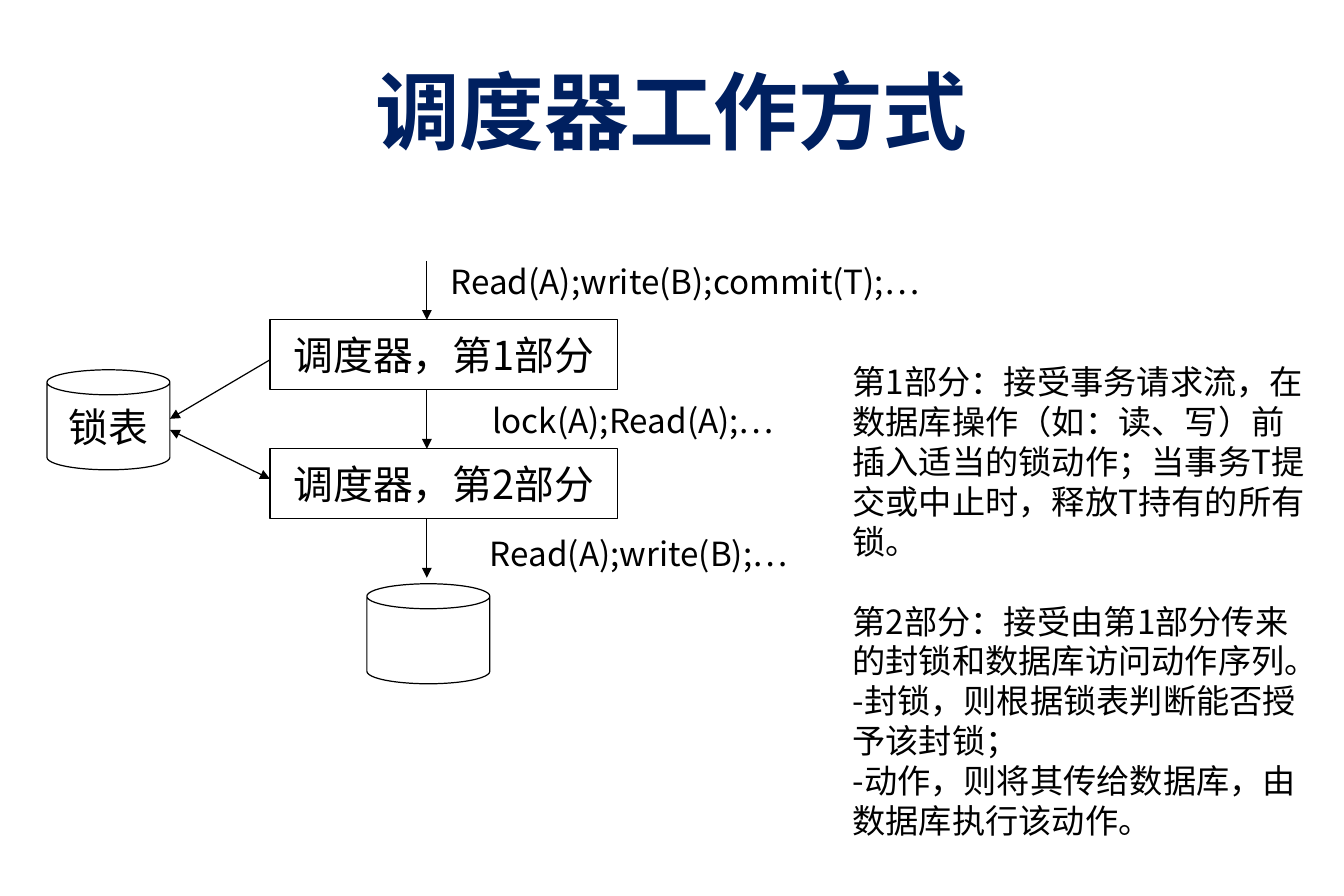
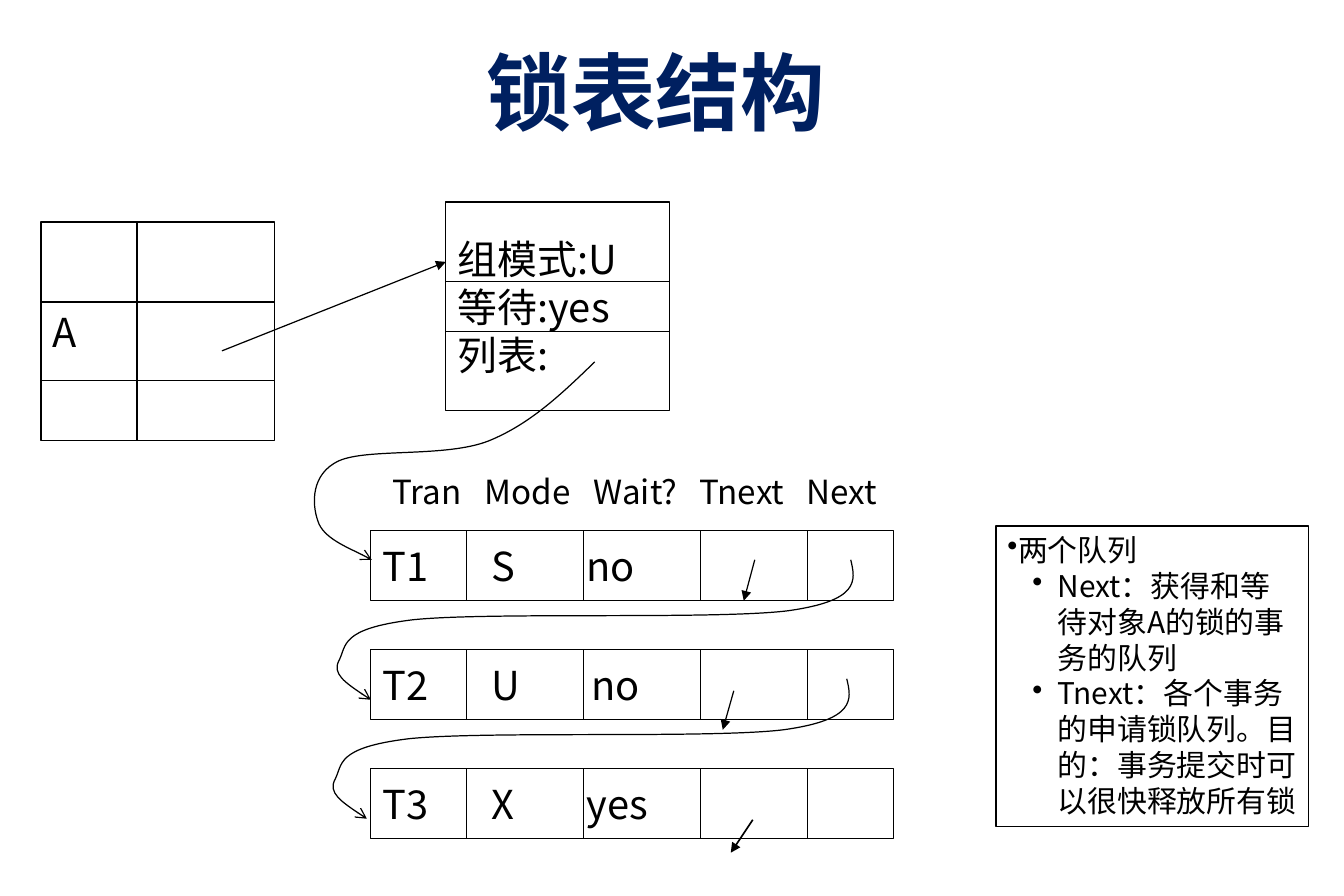
from lxml.etree import SubElement
from pptx import Presentation
from pptx.dml.color import RGBColor
from pptx.enum.shapes import MSO_CONNECTOR, MSO_SHAPE
from pptx.enum.text import MSO_ANCHOR, PP_ALIGN
from pptx.oxml.ns import qn
from pptx.util import Pt

SCALE = 914400 / 119.5
FONT = "Noto Sans CJK SC"
COLORS = {"title": "002060", "ink": "000000"}
LEADING = 1.2


def px(num):
    """Turn pixels into EMU."""
    return round(num * SCALE)


def ink(name):
    """Look up a colour by its role."""
    return RGBColor.from_string(COLORS[name])


def write(para, text, size, color="ink", bold=False):
    """Add one run of text to a paragraph."""
    run = para.add_run()
    run.text = text
    font = run.font
    font.name, font.size, font.bold = FONT, Pt(size), bold
    font.color.rgb = ink(color)
    SubElement(font._element, qn("a:ea")).set("typeface", FONT)


def fill(shape, lines, size, align=PP_ALIGN.LEFT, anchor=MSO_ANCHOR.MIDDLE,
         tabs=(), **look):
    """Put lines of text in a shape and return its paragraphs."""
    frame = shape.text_frame
    frame.word_wrap = True
    frame.vertical_anchor = anchor
    for i, text in enumerate(lines):
        para = frame.add_paragraph() if i else frame.paragraphs[0]
        para.alignment = align
        para.line_spacing = Pt(size * LEADING)
        if tabs:
            stops = SubElement(para._p.get_or_add_pPr(), qn("a:tabLst"))
            for pos in tabs:
                stop = SubElement(stops, qn("a:tab"))
                stop.set("pos", str(px(pos)))
                stop.set("algn", "l")
        write(para, text, size, **look)
    return frame.paragraphs


def label(slide, box, lines, size, **opts):
    """Add a text box."""
    shape = slide.shapes.add_textbox(*map(px, box))
    return fill(shape, lines, size, **opts)


def stroke(shape, width=0.75, head=None, tail=None):
    """Draw the outline, with arrowheads if asked for."""
    shape.line.color.rgb = ink("ink")
    shape.line.width = Pt(width)
    line = shape._element.spPr.find(qn("a:ln"))
    for tag, kind in (("a:headEnd", head), ("a:tailEnd", tail)):
        if kind:
            SubElement(line, qn(tag)).set("type", kind)


def outline(slide, box, kind=MSO_SHAPE.RECTANGLE, width=0.75):
    """Add an unfilled preset shape."""
    shape = slide.shapes.add_shape(kind, *map(px, box))
    shape.shadow.inherit = False
    shape.fill.background()
    stroke(shape, width)
    return shape


def rule(slide, start, end, **ends):
    """Add a straight line or arrow."""
    line = slide.shapes.add_connector(
        MSO_CONNECTOR.STRAIGHT, *map(px, (*start, *end)))
    stroke(line, **ends)
    SubElement(line._element.spPr, qn("a:effectLst"))


def curve(slide, left, top, points):
    """Add an arrow of cubic curves; points are offsets from left, top."""
    first, *rest = [(left + x, top + y) for x, y in points]
    build = slide.shapes.build_freeform(*first, scale=SCALE)
    build.add_line_segments(rest, close=False)
    shape = build.convert_to_shape()
    shape.shadow.inherit = False
    shape.fill.background()
    stroke(shape, tail="arrow")
    nodes = list(shape._element.iter(qn("a:lnTo")))
    for bend, *others in zip(nodes[::3], nodes[1::3], nodes[2::3]):
        bend.tag = qn("a:cubicBezTo")
        for node in others:
            bend.append(node[0])
            node.getparent().remove(node)


def grid(slide, box, cols=(), rows=()):
    """Add a rectangle split at the given offsets."""
    left, top, wide, high = box
    shape = outline(slide, box)
    for x in cols:
        rule(slide, (left + x, top), (left + x, top + high))
    for y in rows:
        rule(slide, (left, top + y), (left + wide, top + y))
    return shape


def title(slide, box, text):
    """Add the slide title."""
    label(slide, box, [text], 51, align=PP_ALIGN.CENTER,
          color="title", bold=True)


def flow(slide, left, top):
    """Draw the two scheduler parts, their stores and the requests."""
    mid, step, high = left + 157, 129, 70
    mode = PP_ALIGN.CENTER
    for i in range(3):
        y = top + i * step
        rule(slide, (mid, y - 59), (mid, y), tail="triangle")
        if i < 2:
            part = outline(slide, (left, y, 348, high))
            fill(part, [f"调度器，第{i + 1}部分"], 24, align=mode)
    can = (123, 100)
    locks = outline(slide, (left - 223, top + 50, *can), MSO_SHAPE.CAN)
    fill(locks, ["锁表"], 24, align=mode)
    outline(slide, (left + 97, top + 264, *can), MSO_SHAPE.CAN)
    edge = left - 100
    rule(slide, (left, top + 40), (edge, top + 99), tail="triangle")
    rule(slide, (left, top + 159), (edge, top + 110),
         head="triangle", tail="triangle")
    for x, y, wide, text, side in (
            (169, -69, 594, "Read(A);write(B);commit(T);…", PP_ALIGN.LEFT),
            (179, 70, 369, "lock(A);Read(A);…", mode),
            (167, 203, 404, "Read(A);write(B);…", mode)):
        label(slide, (left + x, top + y, wide, 60), [text], 20, align=side)


def duties(slide, box):
    """Explain what each scheduler part does."""
    paras = label(slide, box, [
        "第1部分：接受事务请求流，在数据库操作（如：读、写）前插入适当的锁动作；"
        "当事务T提交或中止时，释放T持有的所有锁。",
        "第2部分：接受由第1部分传来的封锁和数据库访问动作序列。",
        "-封锁，则根据锁表判断能否授予该封锁；",
        "-动作，则将其传给数据库，由数据库执行该动作。",
    ], 20, anchor=MSO_ANCHOR.TOP)
    paras[1].space_before = Pt(20 * LEADING)


def index(slide, box):
    """Draw the table that maps an object to its lock entry."""
    left, top, *_ = box
    fill(grid(slide, box, cols=[96], rows=[80, 159]), ["A"], 24)
    rule(slide, (left + 181, top + 129), (left + 405, top + 40),
         tail="triangle")


def entry(slide, box):
    """Draw the lock entry and the arrow to its list."""
    shape = grid(slide, box, rows=[80, 130])
    fill(shape, ["组模式:U", "等待:yes", "列表:"], 24)
    curve(slide, *box[:2], [
        (149, 160), (117, 191), (85, 222), (43, 239), (0, 256),
        (-78, 246), (-107, 259), (-135, 272), (-134, 302), (-128, 319),
        (-123, 336), (-84, 352), (-74, 358)])


def queue(slide, left, top):
    """Draw the list of lock requests with its links."""
    label(slide, (left + 10, top - 70, 530, 60),
          ["Tran\tMode\tWait?\tTnext\tNext"], 20, tabs=(92, 201, 307, 414))
    link = [(480, 29), (485, 50), (489, 70), (417, 80), (344, 89),
            (118, 81), (42, 89), (-32, 98), (-24, 115), (-32, 130),
            (-39, 143), (-20, 156), (0, 169)]
    rows = (("T1\tS\tno", 204, (384, 29), (373, 70), 0.75),
            ("T2\tU\tno", 209, (363, 41), (352, 80), 0.75),
            ("T3\tX\tyes", 204, (382, 51), (360, 84), 1))
    for i, (text, wait, start, end, width) in enumerate(rows):
        y = top + i * 119
        shape = grid(slide, (left, y, 523, 70), cols=(96, 213, 330, 437))
        fill(shape, [text], 24, tabs=(109, wait))
        rule(slide, (left + start[0], y + start[1]),
             (left + end[0], y + end[1]), width=width, tail="triangle")
        if i < 2:
            curve(slide, left - 4 * i, y, link)


def note(slide, box):
    """Add the framed, bulleted note on the two queues."""
    paras = fill(outline(slide, box, width=1), [
        "两个队列",
        "Next：获得和等待对象A的锁的事务的队列",
        "Tnext：各个事务的申请锁队列。目的：事务提交时可以很快释放所有锁",
    ], 18, anchor=MSO_ANCHOR.TOP)
    for i, para in enumerate(paras):
        para.level = min(i, 1)
        props = para._p.get_or_add_pPr()
        props.set("marL", str(px(50 * para.level)))
        props.set("indent", str(px(-25 * para.level)))
        SubElement(props, qn("a:buChar")).set("char", "•")


def main():
    """Build both slides and save them."""
    deck = Presentation()
    deck.slide_width, deck.slide_height = 10287000, 6858000
    blank = deck.slide_layouts[6]

    works = deck.slides.add_slide(blank)
    title(works, (100, 35, 1143, 149), "调度器工作方式")
    flow(works, 270, 320)
    duties(works, (841, 356, 477, 495))

    locks = deck.slides.add_slide(blank)
    title(locks, (355, 62, 602, 57), "锁表结构")
    index(locks, (41, 222, 234, 219))
    entry(locks, (446, 202, 224, 209))
    queue(locks, 371, 531)
    note(locks, (996, 526, 313, 301))

    deck.save("out.pptx")


main()
